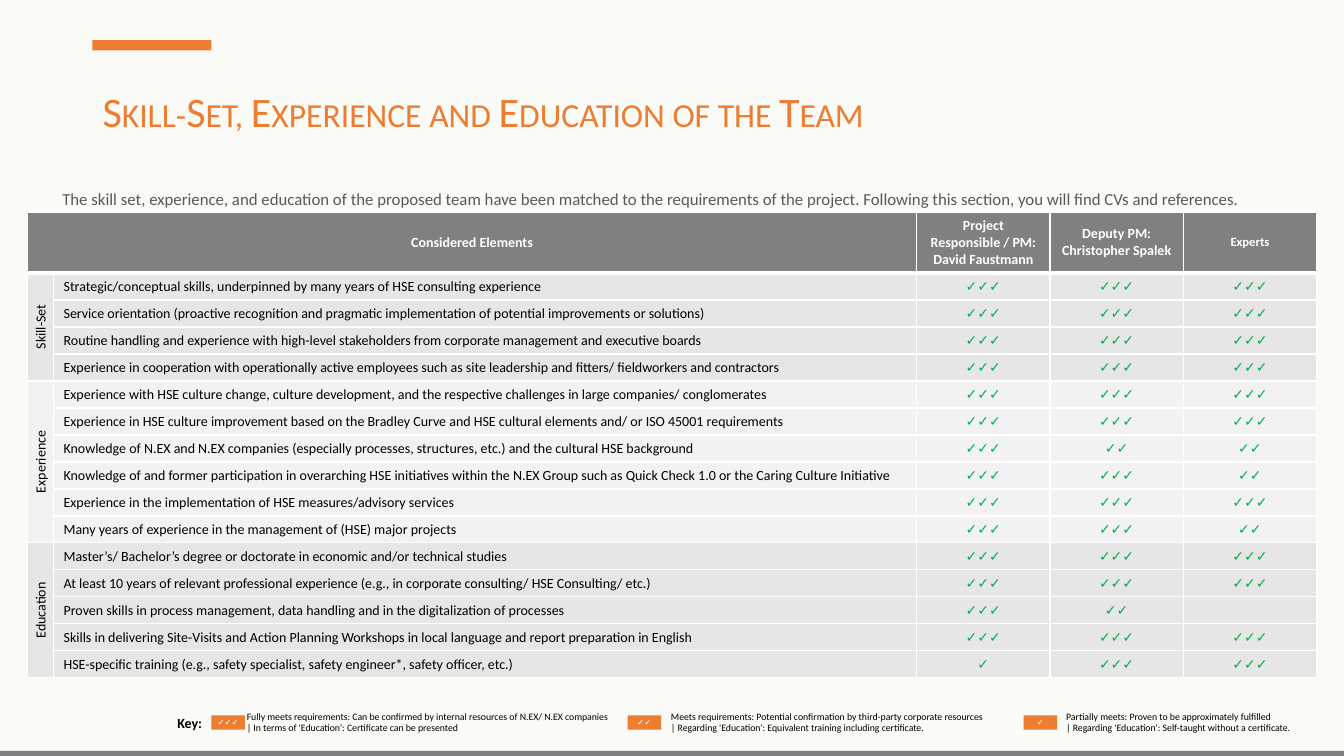
from dataclasses import dataclass

from lxml import etree
from pptx import Presentation
from pptx.dml.color import RGBColor
from pptx.enum.shapes import MSO_SHAPE
from pptx.enum.text import MSO_ANCHOR, PP_ALIGN
from pptx.oxml.ns import qn
from pptx.util import Cm, Pt

RECTANGLE = MSO_SHAPE.RECTANGLE
MIDDLE, TOP = MSO_ANCHOR.MIDDLE, MSO_ANCHOR.TOP
LEFT, CENTER = PP_ALIGN.LEFT, PP_ALIGN.CENTER
TITLE_ONLY = 5
BODY_FONT, MARK_FONT = "Calibri", "Arial"
MARK = "✓"
COLORS = {
    "page": "FAFAF7", "orange": "ED7D31", "gray": "808080", "intro": "595959",
    "dark": "E7E6E6", "light": "F2F2F2", "green": "00B050",
    "black": "000000", "white": "FFFFFF",
}


@dataclass
class Style:
    size: float
    color: str = "black"
    bold: bool = False
    font: str = BODY_FONT
    align: int = LEFT
    spacing: float = 1.0


@dataclass
class Box:
    left: float
    top: float
    width: float
    height: float

    def lengths(self) -> list:
        return [Cm(v) for v in (self.left, self.top, self.width, self.height)]


@dataclass
class Group:
    name: str
    fill: str
    rows: list  # (requirement, marks for PM, deputy and experts)


@dataclass
class KeyEntry:
    left: float
    text_left: float
    text_width: float
    marks: int
    text: str


HEADINGS = ["Project Responsible / PM: David Faustmann",
            "Deputy PM: Christopher Spalek", "Experts"]
GROUPS = [
    Group("Skill-Set", "dark", [
        ("Strategic/conceptual skills, underpinned by many years of HSE consulting experience", (3, 3, 3)),
        ("Service orientation (proactive recognition and pragmatic implementation of potential "
         "improvements or solutions)", (3, 3, 3)),
        ("Routine handling and experience with high-level stakeholders from corporate management "
         "and executive boards", (3, 3, 3)),
        ("Experience in cooperation with operationally active employees such as site leadership "
         "and fitters/ fieldworkers and contractors", (3, 3, 3)),
    ]),
    Group("Experience", "light", [
        ("Experience with HSE culture change, culture development, and the respective challenges "
         "in large companies/ conglomerates", (3, 3, 3)),
        ("Experience in HSE culture improvement based on the Bradley Curve and HSE cultural "
         "elements and/ or ISO 45001 requirements", (3, 3, 3)),
        ("Knowledge of N.EX and N.EX companies (especially processes, structures, etc.) "
         "and the cultural HSE background", (3, 2, 2)),
        ("Knowledge of and former participation in overarching HSE initiatives within the N.EX "
         "Group such as Quick Check 1.0 or the Caring Culture Initiative", (3, 3, 2)),
        ("Experience in the implementation of HSE measures/advisory services", (3, 3, 3)),
        ("Many years of experience in the management of (HSE) major projects", (3, 3, 2)),
    ]),
    Group("Education", "dark", [
        ("Master’s/ Bachelor’s degree or doctorate in economic and/or technical studies", (3, 3, 3)),
        ("At least 10 years of relevant professional experience (e.g., in corporate consulting/ "
         "HSE Consulting/ etc.)", (3, 3, 3)),
        ("Proven skills in process management, data handling and in the digitalization of processes",
         (3, 2, 0)),
        ("Skills in delivering Site-Visits and Action Planning Workshops in local language and "
         "report preparation in English", (3, 3, 3)),
        ("HSE-specific training (e.g., safety specialist, safety engineer*, safety officer, etc.)",
         (1, 3, 3)),
    ]),
]
KEY = [
    KeyEntry(5.33, 5.97, 9.86, 3,
             "Fully meets requirements: Can be confirmed by internal resources of N.EX/ N.EX companies\n"
             "| In terms of 'Education': Certificate can be presented"),
    KeyEntry(15.82, 16.66, 9.14, 2,
             "Meets requirements: Potential confirmation by third-party corporate resources\n"
             "| Regarding 'Education': Equivalent training including certificate."),
    KeyEntry(25.8, 26.62, 6.48, 1,
             "Partially meets: Proven to be approximately fulfilled\n"
             "| Regarding 'Education': Self-taught without a certificate."),
]


def rgb(name: str) -> RGBColor:
    return RGBColor.from_string(COLORS[name])


def write(frame, text: str, style: Style) -> None:
    para = frame.paragraphs[0]
    if text:
        para.text = text
    else:
        etree.SubElement(para._p, qn("a:endParaRPr"), sz=str(int(style.size * 100)))
    para.alignment = style.align
    para.line_spacing = style.spacing
    font = para.font
    font.size, font.name, font.bold = Pt(style.size), style.font, style.bold
    font.color.rgb = rgb(style.color)


def add_bar(page, box: Box, color: str):
    bar = page.shapes.add_shape(RECTANGLE, *box.lengths())
    bar.shadow.inherit = False
    bar.fill.solid()
    bar.fill.fore_color.rgb = rgb(color)
    bar.line.fill.background()
    return bar


def add_text(page, box: Box, text: str, style: Style) -> None:
    frame = page.shapes.add_textbox(*box.lengths()).text_frame
    frame.word_wrap = True
    write(frame, text, style)


def format_cell(cell, fill: str, top: float = 1, bottom: float = 1) -> None:
    properties = cell._tc.get_or_add_tcPr()
    for side, width in zip("LRTB", (1, 1, top, bottom)):
        line = etree.SubElement(properties, qn(f"a:ln{side}"), w=str(Pt(width)))
        solid = etree.SubElement(line, qn("a:solidFill"))
        etree.SubElement(solid, qn("a:srgbClr"), val=COLORS["white"])
    cell.fill.solid()
    cell.fill.fore_color.rgb = rgb(fill)


def fill_cell(cell, text: str, style: Style, anchor=MIDDLE) -> None:
    write(cell.text_frame, text, style)
    cell.vertical_anchor = anchor


def add_matrix(page) -> None:
    widths = [0.66, 21.75] + [3.36] * len(HEADINGS)
    heights = [1.54] + [0.68] * sum(len(group.rows) for group in GROUPS)
    box = Box(0.69, 5.34, sum(widths), sum(heights))
    table = page.shapes.add_table(len(heights), len(widths), *box.lengths()).table
    table.horz_banding = False
    for column, width in zip(table.columns, widths):
        column.width = Cm(width)
    for row, height in zip(table.rows, heights):
        row.height = Cm(height)

    # Header row
    for cell in table.rows[0].cells:
        format_cell(cell, "gray", bottom=3)
    table.cell(0, 0).merge(table.cell(0, 1))
    heading = Style(10, "white", bold=True, align=CENTER)
    fill_cell(table.cell(0, 0), "Considered Elements", heading)
    for column, text in enumerate(HEADINGS, 2):
        fill_cell(table.cell(0, column), text, heading)
    table.cell(0, 4).text_frame.paragraphs[0].font.size = Pt(9)

    # Requirement rows by group
    marks_style = Style(10, "green", bold=True, font=MARK_FONT, align=CENTER)
    row = 1
    for group in GROUPS:
        label = table.cell(row, 0)
        for offset, (requirement, marks) in enumerate(group.rows):
            current = row + offset
            for cell in table.rows[current].cells:
                format_cell(cell, group.fill, top=3 if current == 1 else 1)
            fill_cell(table.cell(current, 1), requirement, Style(10), TOP)
            for column, count in enumerate(marks, 2):
                fill_cell(table.cell(current, column), MARK * count, marks_style)
        row += len(group.rows)
        label.merge(table.cell(row - 1, 0))
        label.margin_left = label.margin_right = 0
        fill_cell(label, group.name, Style(10, align=CENTER))
        label._tc.get_or_add_tcPr().set("vert", "vert270")


def main() -> None:
    deck = Presentation()
    deck.slide_width, deck.slide_height = Cm(33.87), Cm(19.05)
    page = deck.slides.add_slide(deck.slide_layouts[TITLE_ONLY])
    page.background.fill.solid()
    page.background.fill.fore_color.rgb = rgb("page")

    # Accent bars
    add_bar(page, Box(0, 18.92, 33.87, 0.2), "gray")
    add_bar(page, Box(2.33, 1.01, 3, 0.26), "orange")

    # Title and introduction
    title = page.shapes.title
    title.left, title.top, title.width, title.height = Box(2.33, 1.02, 29.21, 3.68).lengths()
    title.text_frame.vertical_anchor = MIDDLE
    write(title.text_frame, "Skill-Set, Experience and Education of the Team",
          Style(30, "orange", spacing=0.9))
    title.text_frame.paragraphs[0].runs[0].font._element.set("cap", "small")
    add_text(page, Box(1.32, 4.7, 31.22, 1.3),
             "The skill set, experience, and education of the proposed team have been matched to the "
             "requirements of the project. Following this section, you will find CVs and references.",
             Style(12, "intro", spacing=0.9))

    add_matrix(page)

    # Key
    add_text(page, Box(4.22, 17.93, 2.31, 0.56), "Key:", Style(10, bold=True, spacing=0.9))
    for entry in KEY:
        badge = add_bar(page, Box(entry.left, 18.03, 0.84, 0.36), "orange")
        badge.text_frame.word_wrap = False
        badge.text_frame.vertical_anchor = MIDDLE
        write(badge.text_frame, MARK * entry.marks, Style(6, "white", font=MARK_FONT, align=CENTER))
        add_text(page, Box(entry.text_left, 17.83, entry.text_width, 0.74), entry.text,
                 Style(7, spacing=0.9))

    deck.save("out.pptx")


if __name__ == "__main__":
    main()
